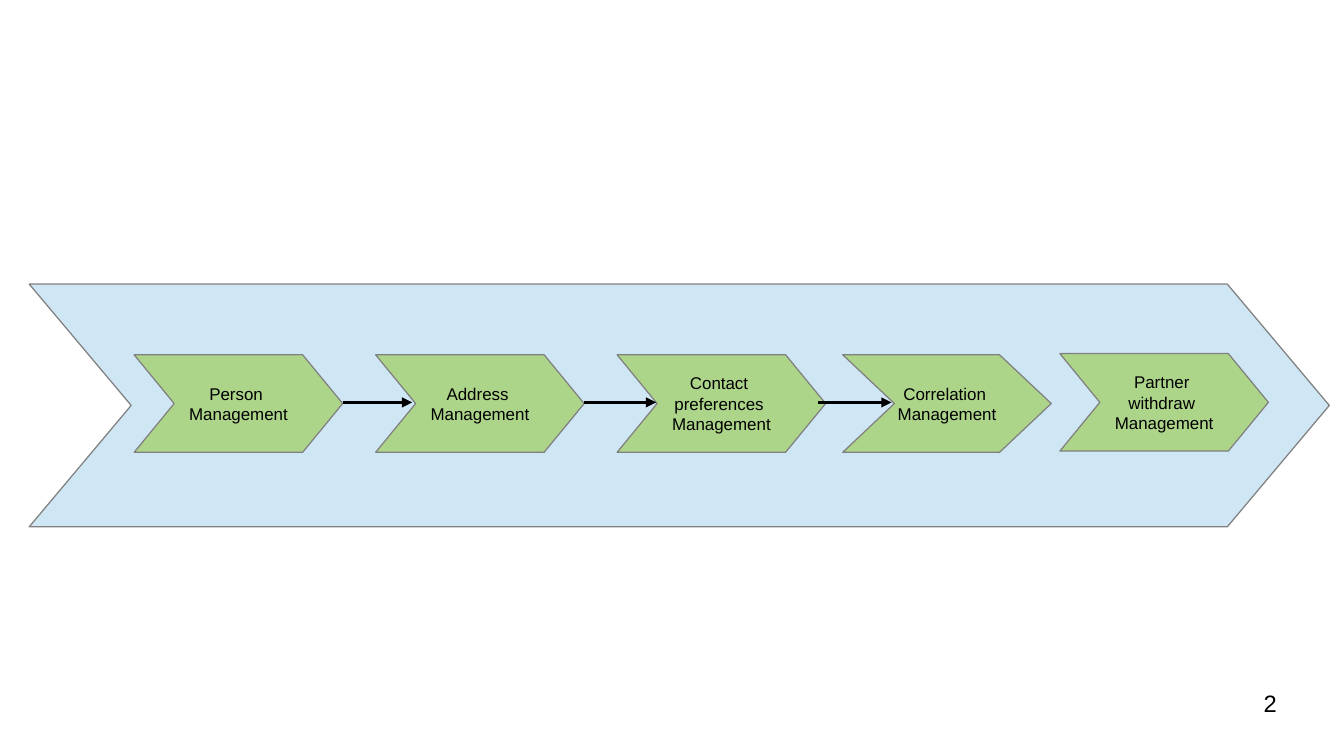
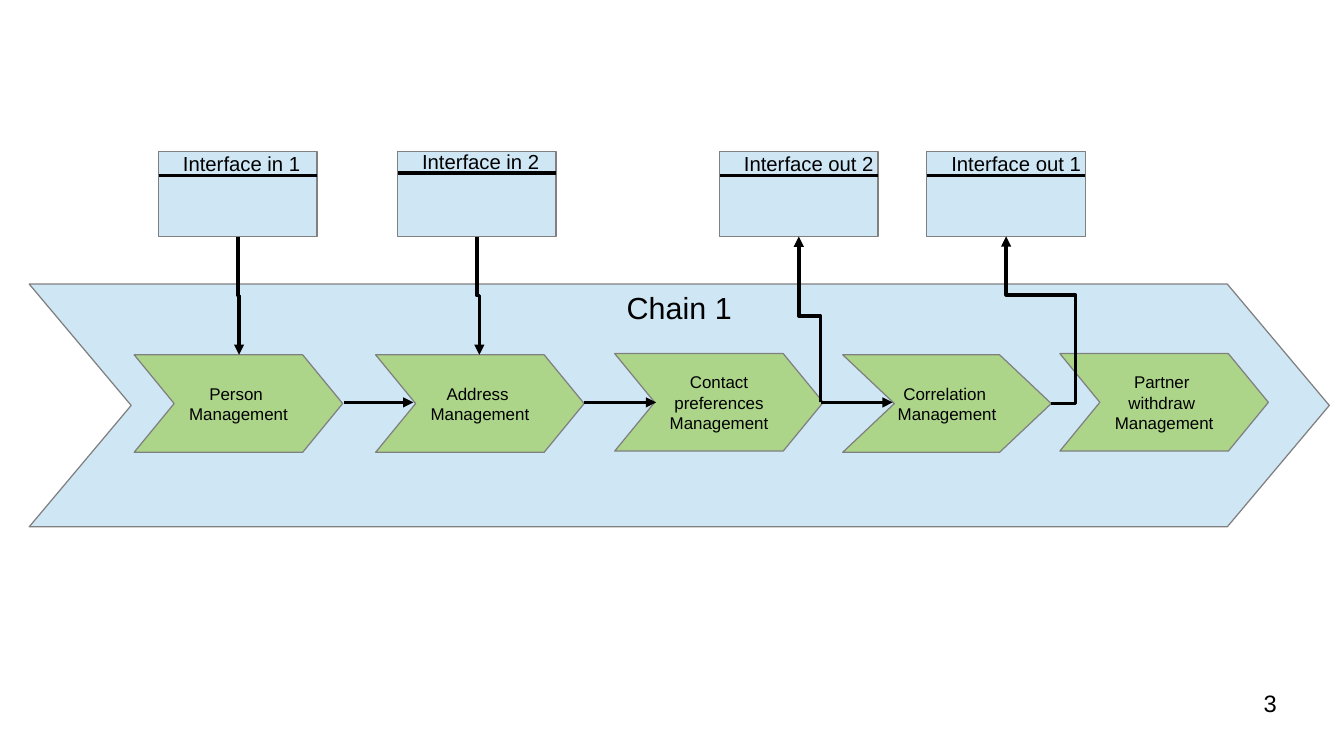
import pptx
import pptx.util
import pptx.dml.color
import pptx.enum.shapes
import pptx.enum.text
import pptx.oxml
import pptx.oxml.ns

RGB = pptx.dml.color.RGBColor
SKY = RGB(0xCF, 0xE7, 0xF5)
GREEN = RGB(0xAD, 0xD5, 0x8A)
GREY = RGB(0x80, 0x80, 0x80)
BLACK = RGB(0, 0, 0)
FONT = "Arial"
KIND = pptx.enum.shapes.MSO_SHAPE
LINK = pptx.enum.shapes.MSO_CONNECTOR
ALIGN = pptx.enum.text.PP_ALIGN
ANCHOR = pptx.enum.text.MSO_ANCHOR
FIT = pptx.enum.text.MSO_AUTO_SIZE

COLS, ROWS = 110.2, 62
CHAIN = (2.4, 23.3, 106.6, 19.9)
STEP_W, STEP_H = 17.1, 8
CARD_W, CARD_H = 13, 7
CARD_TOP = 12.4
LINK_ROW = 33


def grid(*cells):
    return [pptx.util.Inches(cell / 10) for cell in cells]


def write(shape, text, size, align, inset=(0, 0), wrap=True, anchor=ANCHOR.TOP):
    frame = shape.text_frame
    frame.text = text
    frame.word_wrap = wrap
    frame.vertical_anchor = anchor
    frame.margin_left = frame.margin_right = grid(inset[0])[0]
    frame.margin_top = frame.margin_bottom = grid(inset[1])[0]
    for para in frame.paragraphs:
        para.alignment = align
        for run in para.runs:
            run.font.name = FONT
            run.font.size = pptx.util.Pt(size)
            run.font.color.rgb = BLACK


def block(slide, kind, box, fill):
    shape = slide.shapes.add_shape(kind, *grid(*box))
    shape.shadow.inherit = False
    shape.fill.solid()
    shape.fill.fore_color.rgb = fill
    shape.line.color.rgb = GREY
    shape.line.width = 0
    return shape


def chevron(slide, box, fill, point):
    shape = block(slide, KIND.CHEVRON, box, fill)
    shape.adjustments[0] = point
    return shape


def line(slide, start, end, arrow=True, kind=LINK.STRAIGHT):
    link = slide.shapes.add_connector(kind, *grid(*start, *end))
    link.line.color.rgb = BLACK
    link.line.width = 0
    if arrow:
        tail = pptx.oxml.parse_xml(
            "<a:tailEnd %s type='triangle'/>" % pptx.oxml.ns.nsdecls("a"))
        link.line._get_or_add_ln().append(tail)
    link._element.spPr.append(pptx.oxml.parse_xml(
        "<a:effectLst %s/>" % pptx.oxml.ns.nsdecls("a")))
    return link


def bend(link, preset, *shares):
    guides = "".join(
        "<a:gd name='adj%d' fmla='val %d'/>" % (num, round(share * 100000))
        for num, share in enumerate(shares, 1))
    geom = link._element.spPr.find(pptx.oxml.ns.qn("a:prstGeom"))
    fresh = pptx.oxml.parse_xml(
        "<a:prstGeom %s prst='%s'><a:avLst>%s</a:avLst></a:prstGeom>"
        % (pptx.oxml.ns.nsdecls("a"), preset, guides))
    geom.getparent().replace(geom, fresh)


def upright(slide, start, end, share):
    mid_x, mid_y = (start[0] + end[0]) / 2, (start[1] + end[1]) / 2
    off_x, off_y = start[0] - mid_x, start[1] - mid_y
    link = line(slide, (mid_x - off_y, mid_y + off_x),
                (mid_x + off_y, mid_y - off_x), kind=LINK.ELBOW)
    link._element.spPr.find(pptx.oxml.ns.qn("a:xfrm")).set("rot", "16200000")
    bend(link, "bentConnector3", share)


def chain(slide, box, steps, links, title=""):
    band = chevron(slide, box, SKY, 0.42)
    if title:
        write(band, title, 18, ALIGN.CENTER, (0.4, 0.4), False)
    for left, top, point, text in steps:
        step = chevron(slide, (box[0] + left, box[1] + top, STEP_W, STEP_H),
                       GREEN, point)
        write(step, text, 10, ALIGN.CENTER, anchor=ANCHOR.MIDDLE)
    for start, end in links:
        line(slide, (start, LINK_ROW), (end, LINK_ROW))


def card(slide, left, top, head, text, width):
    block(slide, KIND.RECTANGLE, (left, top, CARD_W, CARD_H), SKY)
    line(slide, (left, top + head), (left + CARD_W, top + head), False)
    label = slide.shapes.add_textbox(
        *grid(left + 1.6, top + head - 2.4, width, 2.7))
    write(label, text, 12, ALIGN.LEFT, (0.4, 0.4), False)
    label.text_frame.auto_size = FIT.SHAPE_TO_FIT_TEXT
    return left + CARD_W / 2, top + CARD_H


def number(slide, text):
    box = slide.shapes.add_textbox(*grid(79, 56.5, 25.7, 4.3))
    write(box, text, 14, ALIGN.RIGHT)


def steps(contact):
    return [
        (8.6, 5.8, 0.41, "Person \vManagement"),
        (28.4, 5.8, 0.41, "Address \vManagement"),
        contact,
        (66.7, 5.8, 0.53, "Correlation \vManagement"),
        (84.5, 5.7, 0.41, "Partner \nwithdraw \vManagement"),
    ]


def plain(slide):
    contact = (48.2, 5.8, 0.41, "Contact \npreferences \vManagement")
    chain(slide, CHAIN, steps(contact),
          [(28.1, 33.8), (47.9, 53.8), (67.1, 73.1)])
    number(slide, "2")


def linked(slide):
    contact = (48, 5.7, 0.41, " Contact \npreferences\vManagement")
    chain(slide, CHAIN, steps(contact),
          [(28.2, 33.9), (47.9, 53.8), (67.3, 73.2)], "Chain 1")
    for left, head, text, goal in ((13, 2, "Interface in 1", 19.6),
                                   (32.6, 1.8, "Interface in 2", 39.3)):
        base = card(slide, left, CARD_TOP, head, text, 10.5)
        upright(slide, base, (goal, 29.1), 0.5)
    base = card(slide, 59, CARD_TOP, 2, "Interface out 2", 11.5)
    upright(slide, (67.3, LINK_ROW), base, 0.52)
    base = card(slide, 76, CARD_TOP, 2, "Interface out 1", 11.5)
    link = line(slide, (86.2, 33.1), base, kind=LINK.ELBOW)
    bend(link, "bentConnector4", -0.54, 0.65)
    number(slide, "3")


def main():
    deck = pptx.Presentation()
    deck.slide_width, deck.slide_height = grid(COLS, ROWS)
    for build in (plain, linked):
        build(deck.slides.add_slide(deck.slide_layouts[6]))
    deck.save("out.pptx")


if __name__ == "__main__":
    main()
